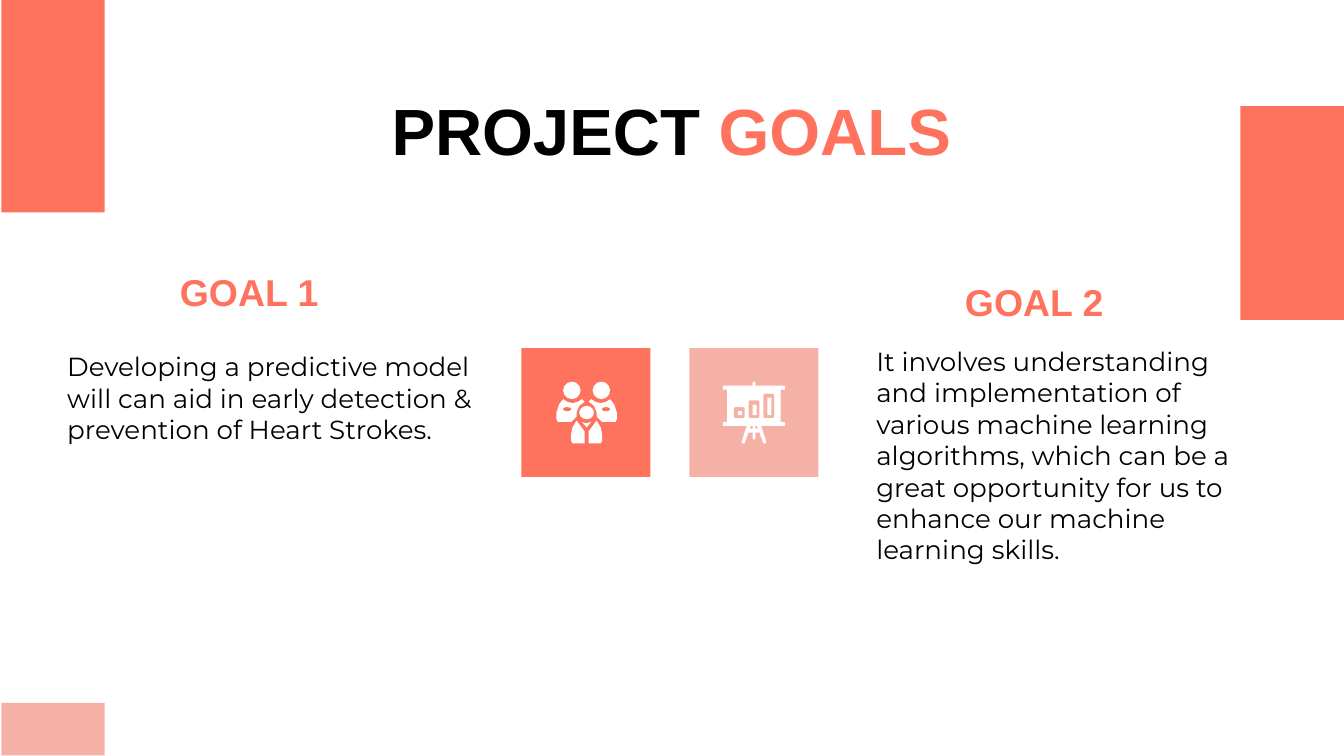
"""Build the project goals slide."""
from lxml.etree import SubElement
from pptx import Presentation
from pptx.dml.color import RGBColor
from pptx.enum.shapes import MSO_SHAPE
from pptx.enum.text import MSO_ANCHOR, MSO_AUTO_SIZE, PP_ALIGN
from pptx.oxml.ns import qn
from pptx.util import Inches, Pt

HUES = {"coral": "FF725E", "pink": "F6B1A7", "white": "FFFFFF", "black": "000000"}
CHILD = 4.365
BOARD = 5.61


def hue(name):
    return RGBColor.from_string(HUES[name])


def paint(shape, tint):
    shape.shadow.inherit = False
    shape.fill.solid()
    shape.fill.fore_color.rgb = hue(tint)
    shape.line.fill.background()


def block(shapes, box, tint, kind=MSO_SHAPE.RECTANGLE):
    paint(shapes.add_shape(kind, *map(Inches, box)), tint)


def outline(shapes, points, tint="white"):
    start, *rest = [(Inches(x), Inches(y)) for x, y in points]
    pen = shapes.build_freeform(*start, scale=1.0)
    pen.add_line_segments(rest, close=True)
    paint(pen.convert_to_shape(), tint)


def pair(shapes, points, axis):
    outline(shapes, points)
    outline(shapes, [(2 * axis - x, y) for x, y in points])


def fill(holder, box, parts, size, font, bold=False, align=PP_ALIGN.LEFT,
         anchor=MSO_ANCHOR.TOP, inset=0, right=0.1):
    holder.left, holder.top, holder.width, holder.height = map(Inches, box)
    frame = holder.text_frame
    frame.word_wrap = True
    frame.auto_size = MSO_AUTO_SIZE.NONE
    frame.vertical_anchor = anchor
    frame.margin_left = frame.margin_top = frame.margin_bottom = Inches(0.1)
    frame.margin_right = Inches(right)
    para = frame.paragraphs[0]
    para.text = parts[0][0]
    for text, _ in parts[1:]:
        para.add_run().text = text
    props = para._p.get_or_add_pPr()
    props.set("marL", str(Inches(inset)))
    props.set("indent", "0")
    SubElement(props, qn("a:buNone"))
    para.alignment = align
    para.space_before = Pt(0)
    for run, (_, tint) in zip(para.runs, parts):
        run.font.size = Pt(size)
        run.font.name = font
        run.font.bold = bold
        run.font.color.rgb = hue(tint)


def draw_board(shapes):
    block(shapes, (5.13, 2.59, 0.96, 0.96), "pink")
    block(shapes, (5.41, 2.88, 0.4, 0.28), "white")
    for top in (2.87, 3.14):
        block(shapes, (5.38, top, 0.46, 0.03), "white", MSO_SHAPE.ROUNDED_RECTANGLE)
    block(shapes, (5.6, 2.84, 0.02, 0.04), "white")
    for left, top in ((5.46, 3.03), (5.57, 2.98), (5.68, 2.93)):
        tall = 3.11 - top
        block(shapes, (left, top, 0.08, tall), "pink", MSO_SHAPE.ROUNDED_RECTANGLE)
        block(shapes, (left + 0.03, top + 0.03, 0.03, tall - 0.05), "white")
    block(shapes, (5.6, 3.16, 0.02, 0.11), "white")
    block(shapes, (5.57, 3.19, 0.08, 0.03), "white")
    pair(shapes, [(5.56, 3.16), (5.59, 3.16), (5.54, 3.3), (5.52, 3.3), (5.52, 3.28)], BOARD)


def draw_team(shapes):
    block(shapes, (3.88, 2.59, 0.96, 0.96), "coral")
    for head in ((4.31, 3.02, 0.11, 0.1), (4.19, 2.84, 0.13, 0.13), (4.41, 2.84, 0.13, 0.13)):
        block(shapes, head, "white", MSO_SHAPE.OVAL)
    pair(shapes, [(4.19, 2.97), (4.22, 2.99), (4.26, 3), (4.3, 2.99), (4.33, 2.97),
                  (4.35, 2.99), (4.31, 3.02), (4.29, 3.07), (4.29, 3.1), (4.25, 3.14),
                  (4.15, 3.14), (4.14, 3.12), (4.14, 3.07), (4.16, 3.01)], CHILD)
    for left in (4.19, 4.48):
        block(shapes, (left, 3.03, 0.06, 0.03), "coral", MSO_SHAPE.OVAL)
    pair(shapes, [(4.29, 3.13), (4.35, 3.21), (4.35, 3.3), (4.26, 3.3),
                  (4.25, 3.28), (4.25, 3.23), (4.26, 3.18)], CHILD)
    outline(shapes, [(4.33, 3.14), (4.36, 3.15), (4.4, 3.14), (CHILD, 3.18)])


def main():
    deck = Presentation()
    deck.slide_width, deck.slide_height = Inches(10), Inches(10 * 9 / 16)
    slide = deck.slides.add_slide(deck.slide_layouts[4])
    title, head_one, text_one, head_two, text_two = list(slide.placeholders)[:5]
    fill(title, (0.65, 0.72, 8.69, 0.49), [("PROJECT ", "black"), ("GOALS", "coral")],
         35, "Arial", True, PP_ALIGN.CENTER, MSO_ANCHOR.MIDDLE)
    fill(head_one, (0.07, 1.95, 2.4, 0.49), [("GOAL 1", "coral")],
         20, "Arial", True, PP_ALIGN.RIGHT, MSO_ANCHOR.BOTTOM)
    fill(head_two, (7.08, 2.02, 2.4, 0.49), [("GOAL 2", "coral")],
         20, "Arial", True, PP_ALIGN.LEFT, MSO_ANCHOR.BOTTOM)
    fill(text_one, (0.4, 2.51, 3.3, 0.62),
         [("Developing a predictive model will can aid in early detection & "
           "prevention of Heart Strokes.", "black")], 14, "Montserrat")
    fill(text_two, (5.92, 2.47, 3.61, 0.62),
         [("It involves understanding and implementation of various machine learning "
           "algorithms, which can be a great opportunity for us to enhance our machine "
           "learning skills.", "black")], 14, "Montserrat", inset=0.5, right=0.25)
    for box, tint in (((0.01, -0.01, 0.77, 1.59), "coral"),
                      ((9.23, 0.79, 0.77, 1.59), "coral"),
                      ((0.01, 5.23, 0.77, 0.39), "pink")):
        block(slide.shapes, box, tint)
    for draw in (draw_board, draw_team):
        draw(slide.shapes.add_group_shape().shapes)
    deck.save("out.pptx")


if __name__ == "__main__":
    main()
